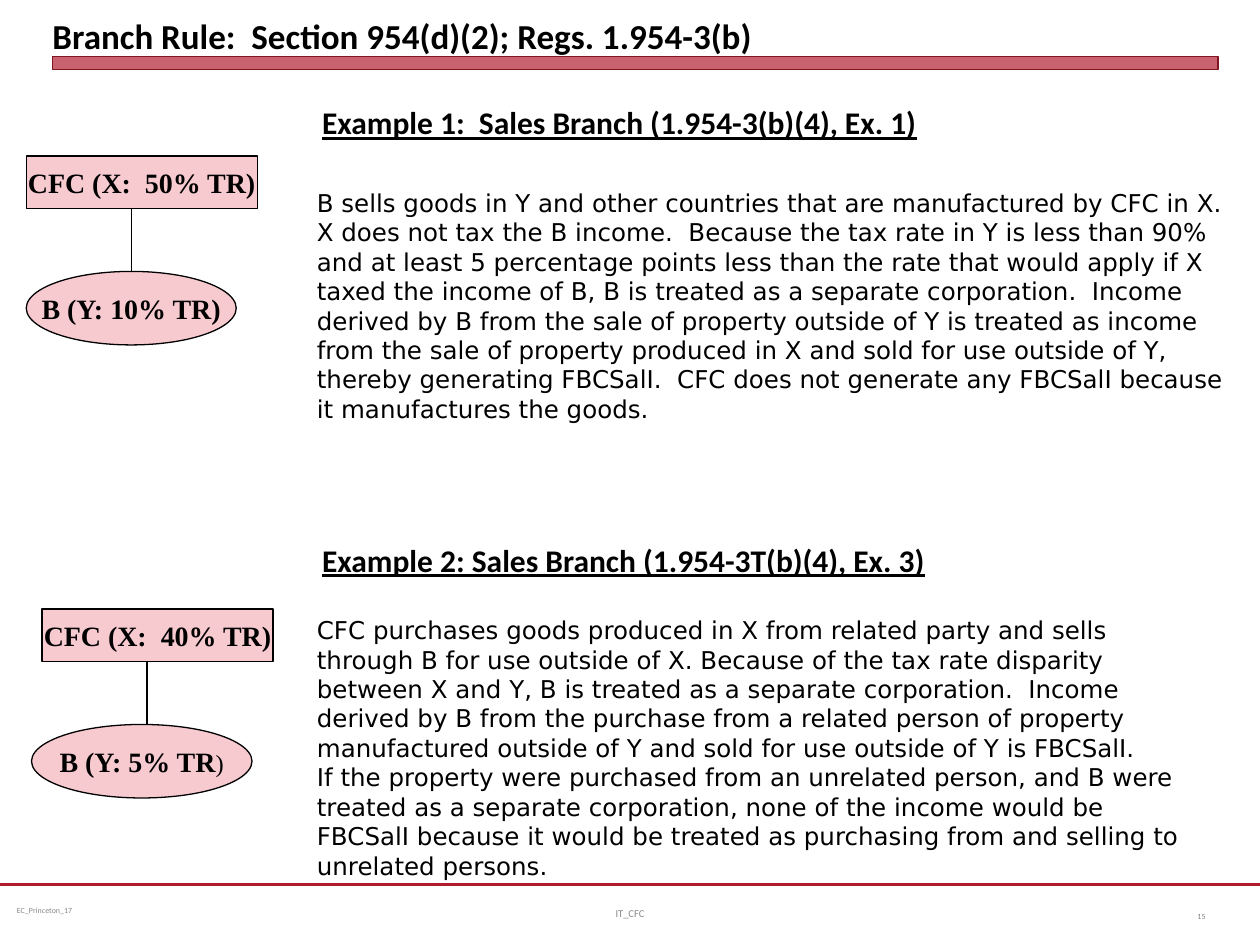
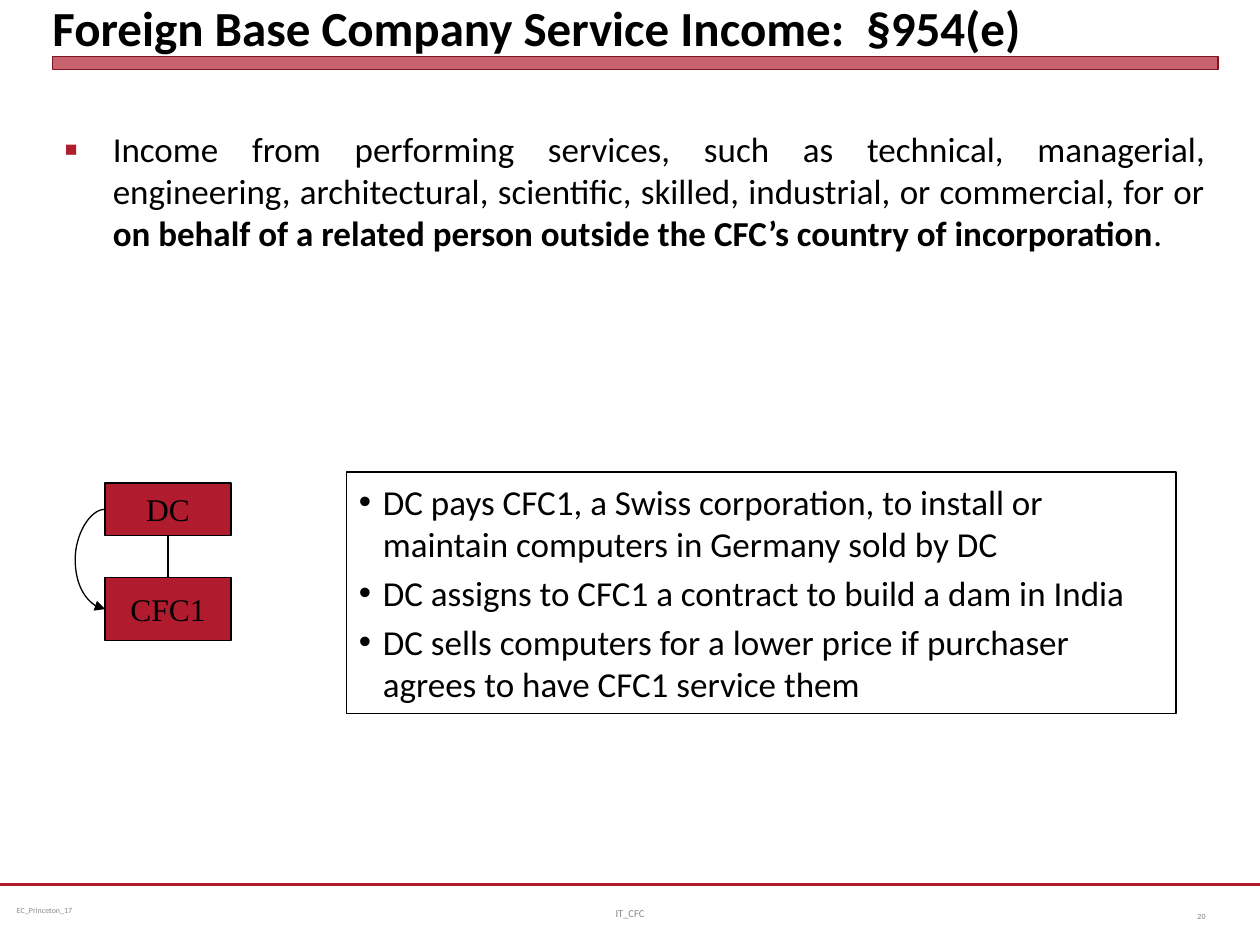
import pptx
import pptx.util
import pptx.dml.color
import pptx.enum.shapes
import pptx.enum.text
import pptx.oxml
import pptx.oxml.ns

RGBColor = pptx.dml.color.RGBColor
ALIGN = pptx.enum.text.PP_ALIGN
ANCHOR = pptx.enum.text.MSO_ANCHOR
SHAPE = pptx.enum.shapes.MSO_SHAPE
CONNECTOR = pptx.enum.shapes.MSO_CONNECTOR

CRIMSON = RGBColor(0xB0, 0x1C, 0x2E)
DARK_CRIMSON = RGBColor(0x82, 0x15, 0x22)
PINK = RGBColor(0xF7, 0xCA, 0xD0)
BLACK = RGBColor(0, 0, 0)
FOOTER_GRAY = RGBColor(0x89, 0x89, 0x89)
NUMBER_GRAY = RGBColor(0x80, 0x80, 0x80)

SANS = "Calibri"
SERIF = "Times New Roman"
BODY = "DejaVu Sans"
DEFAULT_INSETS = (0.1, 0.05, 0.1, 0.05)
COLUMNS, ROWS = 120, 90


def grid(cells):
    return pptx.util.Inches(cells / 12)


def add_xml(parent, tag, content="", **attributes):
    listed = " ".join(f'{name}="{value}"' for name, value in attributes.items())
    namespace = pptx.oxml.ns.nsdecls("a")
    element = pptx.oxml.parse_xml(f"<a:{tag} {namespace} {listed}>{content}</a:{tag}>")
    parent.append(element)


def add_bullet(para, character, indent, color=None, percent=100):
    properties = para._p.get_or_add_pPr()
    margin = pptx.util.Inches(indent)
    properties.set("marL", str(margin))
    properties.set("indent", str(-margin))
    if color is not None:
        add_xml(properties, "buClr", f'<a:srgbClr val="{color}"/>')
    add_xml(properties, "buSzPct", val=percent * 1000)
    add_xml(properties, "buFont", typeface="Arial")
    add_xml(properties, "buChar", char=character)


def write(box, paragraphs, size, font=SANS, color=BLACK, bold=False, underline=False,
          align=ALIGN.LEFT, anchor=ANCHOR.TOP, wrap=True, insets=DEFAULT_INSETS,
          bullet=None, space=0):
    frame = box.text_frame
    frame.word_wrap = wrap
    frame.vertical_anchor = anchor
    (frame.margin_left, frame.margin_top,
     frame.margin_right, frame.margin_bottom) = map(pptx.util.Inches, insets)
    for index, spans in enumerate(paragraphs):
        para = frame.paragraphs[0] if index == 0 else frame.add_paragraph()
        if bullet:
            add_bullet(para, **bullet)
        para.alignment = align
        para.space_before = pptx.util.Pt(space if index else 0)
        for text, changes in spans:
            span = para.add_run()
            span.text = text
            span.font.name = font
            span.font.size = pptx.util.Pt(changes.get("size", size))
            span.font.bold = changes.get("bold", bold)
            span.font.underline = underline
            span.font.color.rgb = color


def plain(*texts):
    return [[(text, {})] for text in texts]


def add_text(page, area, paragraphs, size, **style):
    box = page.shapes.add_textbox(*map(grid, area))
    write(box, paragraphs, size, **style)


def add_box(page, kind, area, fill=None, line=BLACK, width=0.75):
    box = page.shapes.add_shape(kind, *map(grid, area))
    box.shadow.inherit = False
    if fill is None:
        box.fill.background()
    else:
        box.fill.solid()
        box.fill.fore_color.rgb = fill
    box.line.color.rgb = line
    box.line.width = pptx.util.Pt(width)
    return box


def add_entity(page, kind, area, spans, fill, size, bold):
    entity = add_box(page, kind, area, fill)
    write(entity, [spans], size, font=SERIF, bold=bold, align=ALIGN.CENTER,
          anchor=ANCHOR.MIDDLE, wrap=False)
    return entity


def add_line(page, start, end, color=BLACK, width=0.75, kind=CONNECTOR.STRAIGHT):
    line = page.shapes.add_connector(kind, *map(grid, (*start, *end)))
    line.line.color.rgb = color
    line.line.width = pptx.util.Pt(width)
    add_xml(line._element.spPr, "effectLst")
    return line


def add_payment_arrow(page, payer, payee, bulge):
    arrow = add_line(page, (0, 0), (1, 1), kind=CONNECTOR.CURVE)
    arrow.begin_connect(payer, 1)
    arrow.end_connect(payee, 1)
    arrow.width = pptx.util.Pt(0.12)
    frame = arrow._element.spPr.find(pptx.oxml.ns.qn("a:xfrm"))
    for name, value in (("rot", "10800000"), ("flipH", "1"), ("flipV", "1")):
        frame.set(name, value)
    share = -round(grid(bulge) / arrow.width * 100000)
    guides = arrow._element.spPr.prstGeom.get_or_add_avLst()
    add_xml(guides, "gd", name="adj1", fmla=f"val {share}")
    add_xml(arrow.line._get_or_add_ln(), "tailEnd", type="triangle")


def add_page(deck, title, title_size, number):
    page = deck.slides.add_slide(deck.slide_layouts[6])
    add_line(page, (0, 84.25), (COLUMNS, 84.25), CRIMSON, 1.25)
    band = add_box(page, SHAPE.RECTANGLE, (5, 5.4, 111, 1.2), CRIMSON, DARK_CRIMSON, 0)
    band_color = band._element.spPr.find(pptx.oxml.ns.qn("a:solidFill"))[0]
    add_xml(band_color, "alpha", val=69000)
    add_text(page, (5, 0.6, 111, 4.8), plain(title), title_size, bold=True,
             anchor=ANCHOR.BOTTOM, insets=(0, 0, 0, 0))
    add_text(page, (0.9, 84.3, 31, 4.8), plain("EC_Princeton_17"), 4.5, color=FOOTER_GRAY,
             anchor=ANCHOR.MIDDLE, insets=(0.06, 0.03, 0.06, 0.03))
    add_text(page, (41, 84.6, 38, 4.8), plain("IT_CFC"), 6, color=FOOTER_GRAY,
             align=ALIGN.CENTER, anchor=ANCHOR.MIDDLE)
    add_text(page, (110, 84.9, 6, 4.8), plain(number), 4.5, color=NUMBER_GRAY,
             align=ALIGN.RIGHT, anchor=ANCHOR.MIDDLE)
    return page


def add_branch(page, left, top, company, branch_left, branch_width, branch, line_column):
    add_entity(page, SHAPE.RECTANGLE, (left, top, 22, 5), [(company, {})], PINK, 16, True)
    add_entity(page, SHAPE.OVAL, (branch_left, top + 11, branch_width, 7), branch,
               PINK, 16, True)
    add_line(page, (line_column, top + 5), (line_column, top + 11))


def add_example(page, heading, heading_top, text_area, *texts):
    add_text(page, (29.5, heading_top, 80, 4.8), plain(heading), 18, bold=True, underline=True)
    add_text(page, text_area, plain(*texts), 14, font=BODY)


def build_branch_rule(deck):
    page = add_page(deck, "Branch Rule:  Section 954(d)(2); Regs. 1.954-3(b)", 20, "15")
    add_branch(page, 2.5, 14.85, "CFC (X:  50% TR)", 2.5, 20, [("B (Y: 10% TR)", {})], 12.5)
    add_example(
        page, "Example 1:  Sales Branch (1.954-3(b)(4), Ex. 1)", 9.25, (29, 17.3, 91, 23.9),
        "B sells goods in Y and other countries that are manufactured by CFC in X.  "
        "X does not tax the B income.  Because the tax rate in Y is less than 90% and at "
        "least 5 percentage points less than the rate that would apply if X taxed the income "
        "of B, B is treated as a separate corporation.  Income derived by B from the sale of "
        "property outside of Y is treated as income from the sale of property produced in X "
        "and sold for use outside of Y, thereby generating FBCSalI.  CFC does not generate "
        "any FBCSalI because it manufactures the goods.")
    add_branch(page, 4, 58, "CFC (X:  40% TR)", 3, 21,
               [("B (Y: 5% TR", {}), (")", {"size": 14, "bold": False})], 14)
    add_example(
        page, "Example 2: Sales Branch (1.954-3T(b)(4), Ex. 3)", 50.9, (29, 58, 86, 26.6),
        "CFC purchases goods produced in X from related party and sells through B for use "
        "outside of X. Because of the tax rate disparity between X and Y, B is treated as a "
        "separate corporation.  Income derived by B from the purchase from a related person "
        "of property manufactured outside of Y and sold for use outside of Y is FBCSalI.",
        "If the property were purchased from an unrelated person, and B were treated as a "
        "separate corporation, none of the income would be FBCSalI because it would be "
        "treated as purchasing from and selling to unrelated persons.")


def build_service_income(deck):
    page = add_page(deck, "Foreign Base Company Service Income:  §954(e)", 28, "20")
    definition = [
        ("Income from performing services, such as technical, managerial, engineering, "
         "architectural, scientific, skilled, industrial, or commercial, for or ", {}),
        ("on behalf of a related person outside the CFC’s country of incorporation",
         {"bold": True}),
        (".", {})]
    add_text(page, (5, 11.6, 111, 13), [definition], 20, align=ALIGN.JUSTIFY,
             bullet={"character": "■", "indent": 0.38, "color": CRIMSON, "percent": 60})

    parent = add_entity(page, SHAPE.RECTANGLE, (10, 46, 12, 5), [("DC", {})],
                        CRIMSON, 18, False)
    subsidiary = add_entity(page, SHAPE.RECTANGLE, (10, 55, 12, 6), [("CFC1", {})],
                            CRIMSON, 18, False)
    ownership = add_line(page, (16, 51), (16, 55))
    ownership.begin_connect(parent, 2)
    ownership.end_connect(subsidiary, 0)
    add_payment_arrow(page, parent, subsidiary, 3)

    cases = add_box(page, SHAPE.RECTANGLE, (33, 44.95, 79, 23))
    write(cases, plain(
        "DC pays CFC1, a Swiss corporation, to install or maintain computers in Germany "
        "sold by DC",
        "DC assigns to CFC1 a contract to build a dam in India",
        "DC sells computers for a lower price if purchaser agrees to have CFC1 service them"),
        20, anchor=ANCHOR.MIDDLE, bullet={"character": "•", "indent": 0.19}, space=4)


def main():
    deck = pptx.Presentation()
    deck.slide_width = grid(COLUMNS)
    deck.slide_height = grid(ROWS)
    build_branch_rule(deck)
    build_service_income(deck)
    deck.save("out.pptx")


if __name__ == "__main__":
    main()
